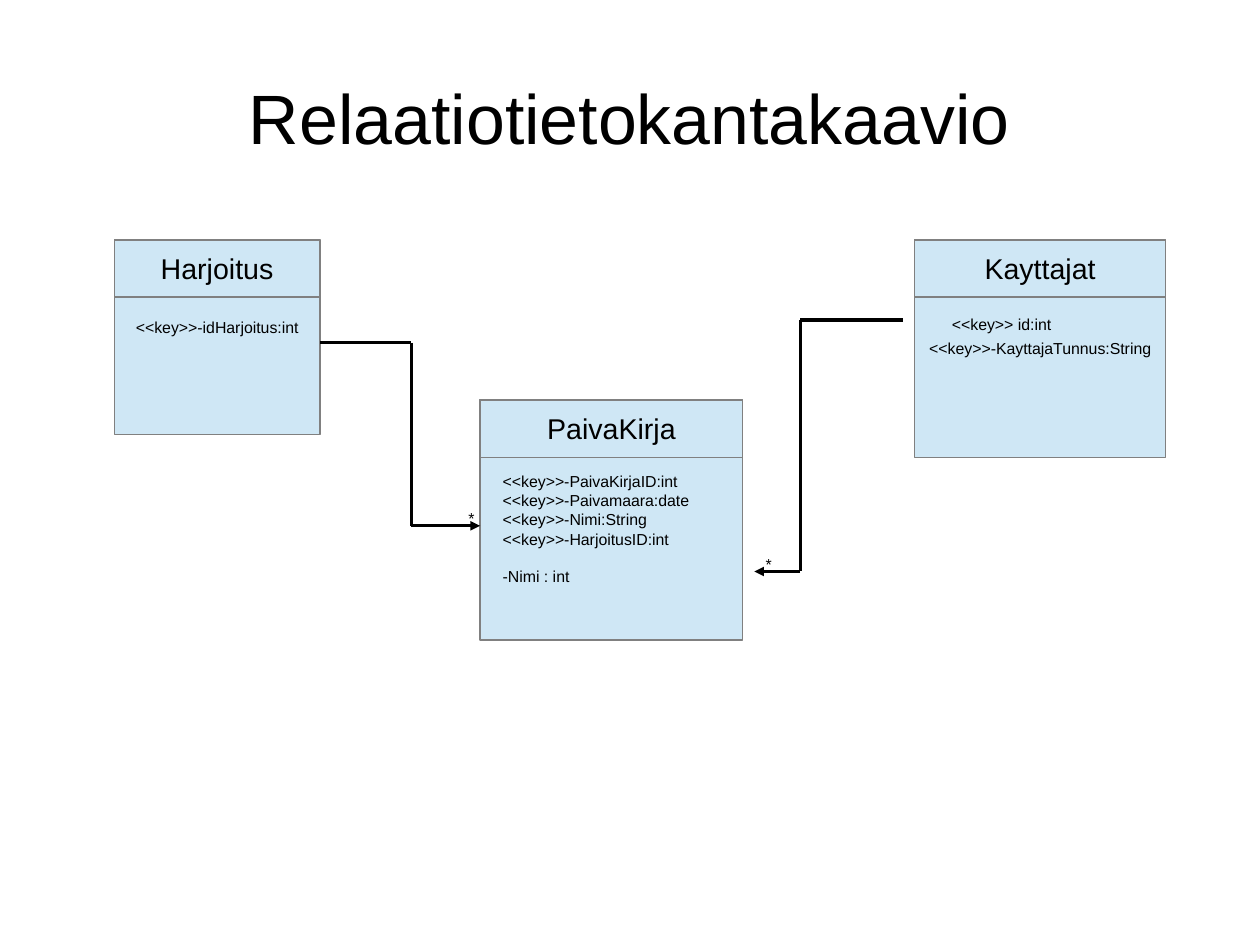
from itertools import pairwise

from lxml import etree
from pptx import Presentation
from pptx.dml.color import RGBColor
from pptx.enum import shapes, text
from pptx.oxml import ns
from pptx.util import Pt

BLACK = RGBColor(0x00, 0x00, 0x00)
GREY = RGBColor(0x80, 0x80, 0x80)
PALE_BLUE = RGBColor(0xCF, 0xE7, 0xF5)
FONT = "Arial"
TITLE_SIZE, NAME_SIZE, FIELD_SIZE = 44, 18, 10
NAME_HEIGHT = 36
INSETS = (7.2, 3.6, 7.2, 3.6)

TITLE = ("Relaatiotietokantakaavio", (39.6, 23.76, 714.24, 99.36))

# Name, box (left, top, width, height), centred field, bottom inset of that field
ENTITIES = [
    ("PaivaKirja", (302.4, 252, 165.6, 151.2), "", 3.6),
    ("Harjoitus", (72, 151.2, 129.6, 122.4), "<<key>>-idHarjoitus:int", 15.6),
    ("Kayttajat", (576, 151.2, 158.4, 136.8), "<<key>>-KayttajaTunnus:String", 3.6),
]

# Lines, box, space before the last line
LABELS = [
    (["<<key>> id:int"], (592.56, 194.4, 77.04, 18), 0),
    (
        [
            "<<key>>-PaivaKirjaID:int",
            "<<key>>-Paivamaara:date",
            "<<key>>-Nimi:String",
            "<<key>>-HarjoitusID:int",
            "-Nimi : int",
        ],
        (309.6, 293.76, 131.76, 74.16),
        11.5,
    ),
    (["*"], (288, 316.8, 18, 18), 0),
    (["*"], (475.2, 345.6, 18, 18), 0),
]

# Corner points of each relation; the arrowhead is at the last one
RELATIONS = [
    [(201.6, 216), (259.2, 216), (259.2, 331.2), (302.4, 331.2)],
    [(568.8, 201.6), (504, 201.6), (504, 360), (475.2, 360)],
]


def points(values):
    return [Pt(value) for value in values]


def write(shape, lines, size, align, anchor, insets=INSETS, last_gap=0):
    frame = shape.text_frame
    frame.word_wrap = False
    frame.vertical_anchor = anchor
    frame.margin_left, frame.margin_top, frame.margin_right, frame.margin_bottom = points(insets)
    frame.text = "\n".join(lines)
    for paragraph in frame.paragraphs:
        paragraph.alignment = align
        paragraph.font.name = FONT
        paragraph.font.size = Pt(size)
        paragraph.font.color.rgb = BLACK
    if last_gap:
        frame.paragraphs[-1].space_before = Pt(last_gap)


def add_panel(slide, box, caption, size, bottom_inset=3.6):
    panel = slide.shapes.add_shape(shapes.MSO_SHAPE.RECTANGLE, *points(box))
    panel.shadow.inherit = False
    panel.fill.solid()
    panel.fill.fore_color.rgb = PALE_BLUE
    panel.line.color.rgb = GREY
    panel.line.width = Pt(0)
    if caption:
        write(panel, [caption], size, text.PP_ALIGN.CENTER, text.MSO_ANCHOR.MIDDLE,
              (*INSETS[:3], bottom_inset))


def add_relation(slide, corners):
    """Draw straight segments through the corners, with an arrowhead on the last."""
    for start, end in pairwise(corners):
        segment = slide.shapes.add_connector(
            shapes.MSO_CONNECTOR.STRAIGHT, *points(start + end))
        segment.line.color.rgb = BLACK
        segment.line.width = Pt(0)
        properties = segment.element.spPr
        etree.SubElement(properties, ns.qn("a:effectLst"))
    outline = properties.find(ns.qn("a:ln"))
    etree.SubElement(outline, ns.qn("a:tailEnd"), type="triangle")


def main():
    presentation = Presentation()
    presentation.slide_width, presentation.slide_height = Pt(793.7), Pt(595.3)
    slide = presentation.slides.add_slide(presentation.slide_layouts[6])

    title, title_box = TITLE
    write(slide.shapes.add_textbox(*points(title_box)), [title], TITLE_SIZE,
          text.PP_ALIGN.CENTER, text.MSO_ANCHOR.MIDDLE, (0, 0, 0, 0))

    for name, box, field, bottom_inset in ENTITIES:
        add_panel(slide, box, field, FIELD_SIZE, bottom_inset)
        add_panel(slide, (*box[:3], NAME_HEIGHT), name, NAME_SIZE)

    for corners in RELATIONS:
        add_relation(slide, corners)

    for lines, box, last_gap in LABELS:
        write(slide.shapes.add_textbox(*points(box)), lines, FIELD_SIZE,
              text.PP_ALIGN.LEFT, text.MSO_ANCHOR.TOP, last_gap=last_gap)

    presentation.save("out.pptx")


if __name__ == "__main__":
    main()
